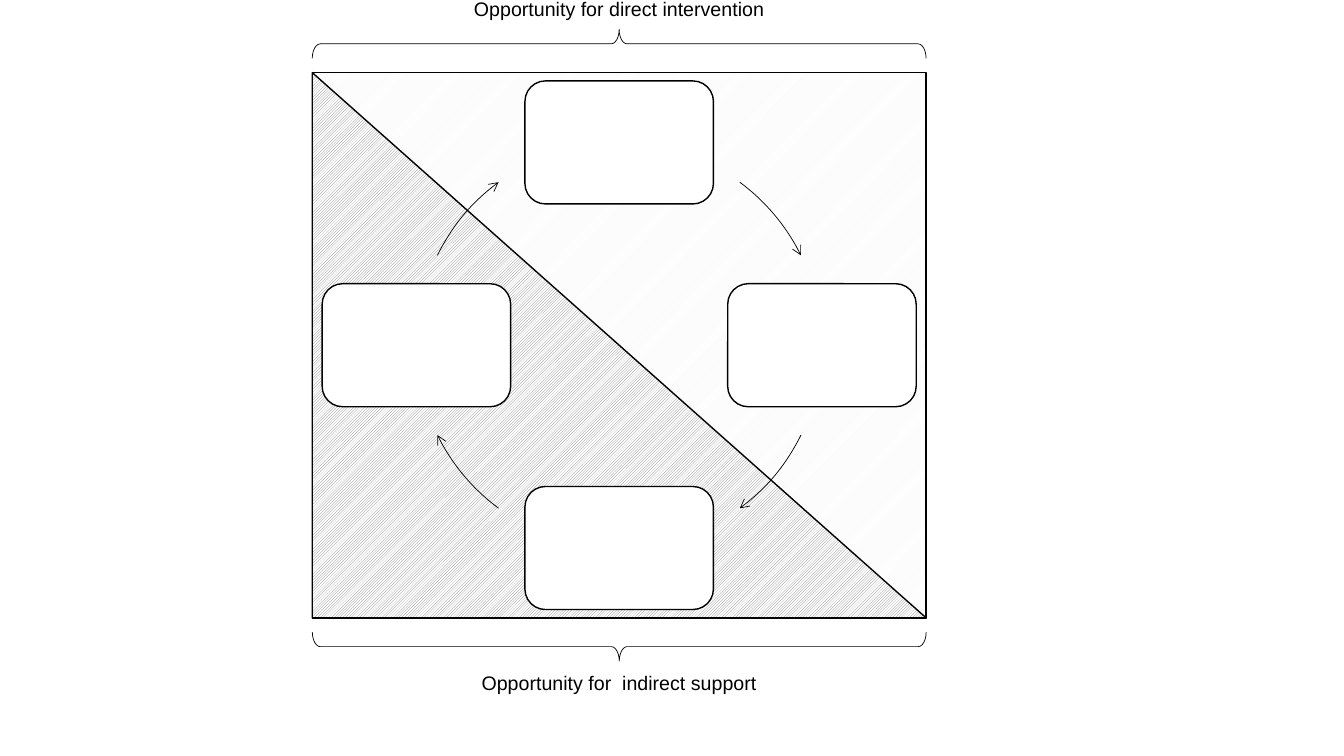
from math import cos, radians, sin

from pptx import Presentation
from pptx.dml.color import RGBColor
from pptx.enum.dml import MSO_PATTERN
from pptx.enum.shapes import MSO_SHAPE
from pptx.enum.text import MSO_ANCHOR, MSO_AUTO_SIZE, PP_ALIGN
from pptx.oxml.ns import qn
from pptx.util import Cm, Pt
from lxml.etree import SubElement

COLORS = {"ink": "000000", "paper": "FFFFFF", "pale": "F2F2F2", "grey": "808080"}
FONT = "Arial"


def rgb(name):
    return RGBColor.from_string(COLORS[name])


def add_outline(s, kind, box, width):
    """Add an unfilled preset shape; box is left, top, width, height in cm."""
    sp = s.shapes.add_shape(kind, *[Cm(v) for v in box])
    sp.shadow.inherit = False
    sp.fill.background()
    sp.line.color.rgb = rgb("ink")
    sp.line.width = Pt(width)
    return sp


def add_field(s, box):
    """Hatched square split along its diagonal."""
    for kind, pattern, color in (
        (MSO_SHAPE.RECTANGLE, MSO_PATTERN.DARK_UPWARD_DIAGONAL, "pale"),
        (MSO_SHAPE.RIGHT_TRIANGLE, MSO_PATTERN.LIGHT_UPWARD_DIAGONAL, "grey"),
    ):
        sp = add_outline(s, kind, box, 1)
        sp.fill.patterned()
        sp.fill.pattern = pattern
        sp.fill.fore_color.rgb = rgb(color)
        sp.fill.back_color.rgb = rgb("paper")


def add_cycle(s, box, radius=5.11, card=(4.75, 3.1)):
    """Four cards on a circle, each followed by a clockwise arrow."""
    left, top, width, height = box
    cx, cy = left + width / 2, top + height / 2
    w, h = card
    for quarter in range(4):
        angle = 90 * quarter - 90
        x = cx + radius * cos(radians(angle))
        y = cy + radius * sin(radians(angle))
        sp = add_outline(s, MSO_SHAPE.ROUNDED_RECTANGLE, (x - w / 2, y - h / 2, w, h), 1)
        sp.fill.solid()
        sp.fill.fore_color.rgb = rgb("paper")

        # The arrow leaves and reaches the upright cards at different angles
        start, end = (36.5, 63.7) if quarter % 2 == 0 else (26.3, 53.5)
        arc_box = (cx - radius, cy - radius, 2 * radius, 2 * radius)
        arc = add_outline(s, MSO_SHAPE.ARC, arc_box, 0.5)
        # Angles are stored in 60000ths of a degree, adjustments in 100000ths
        for i, offset in enumerate((start, end)):
            arc.adjustments[i] = (angle + offset) % 360 * 0.6
        ln = arc.line._get_or_add_ln()
        SubElement(ln, qn("a:tailEnd"), type="arrow")


def add_brace(s, box, rotation):
    """Right brace turned to lie along the given wide box."""
    left, top, width, height = box
    upright = (left + (width - height) / 2, top + (height - width) / 2, height, width)
    sp = add_outline(s, MSO_SHAPE.RIGHT_BRACE, upright, 0.5)
    sp.adjustments[0] = 0.274
    sp.rotation = rotation


def add_label(s, box, text):
    tf = s.shapes.add_textbox(*[Cm(v) for v in box]).text_frame
    tf.word_wrap = True
    tf.auto_size = MSO_AUTO_SIZE.SHAPE_TO_FIT_TEXT
    tf.vertical_anchor = MSO_ANCHOR.BOTTOM
    p = tf.paragraphs[0]
    p.alignment = PP_ALIGN.CENTER
    r = p.add_run()
    r.text = text
    r.font.size = Pt(14)
    r.font.name = FONT
    r.font.color.rgb = rgb("ink")


def build_slide(prs):
    s = prs.slides.add_slide(prs.slide_layouts[6])
    left, top, width, height = field = (7.87, 1.83, 15.47, 13.74)
    add_field(s, field)
    add_cycle(s, field)

    # Labels and braces above and below the field
    brace, gap, label = 0.73, 0.36, 0.86
    bottom = top + height
    add_label(s, (left, -0.23, width, label), "Opportunity for direct intervention")
    add_label(s, (left, 16.76, width, label), "Opportunity for  indirect support")
    add_brace(s, (left, bottom + gap, width, brace), 90)
    add_brace(s, (left, top - gap - brace, width, brace), 270)


def main():
    prs = Presentation()
    prs.slide_width, prs.slide_height = Cm(33.87), Cm(19.05)
    build_slide(prs)
    prs.save("out.pptx")


if __name__ == "__main__":
    main()
